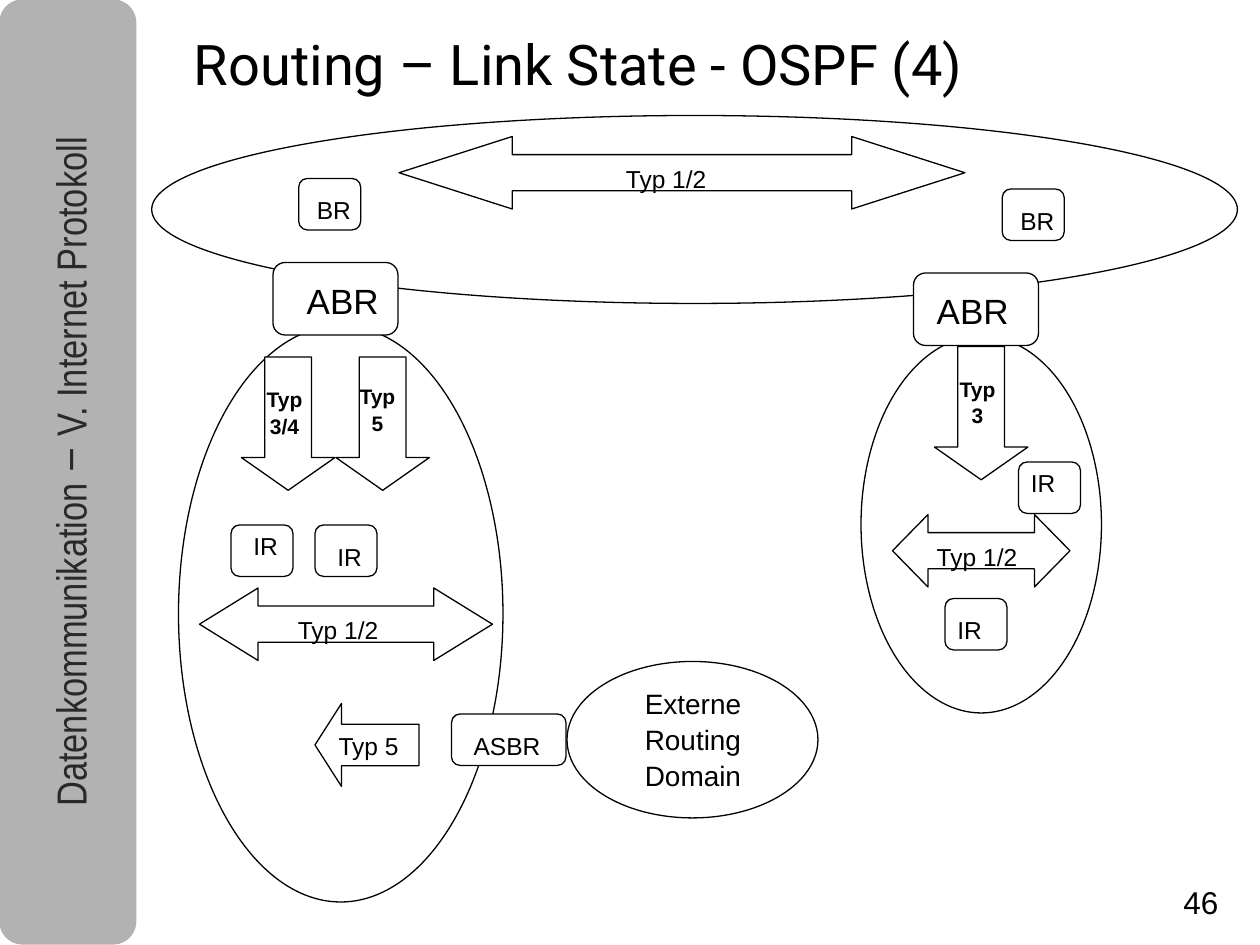
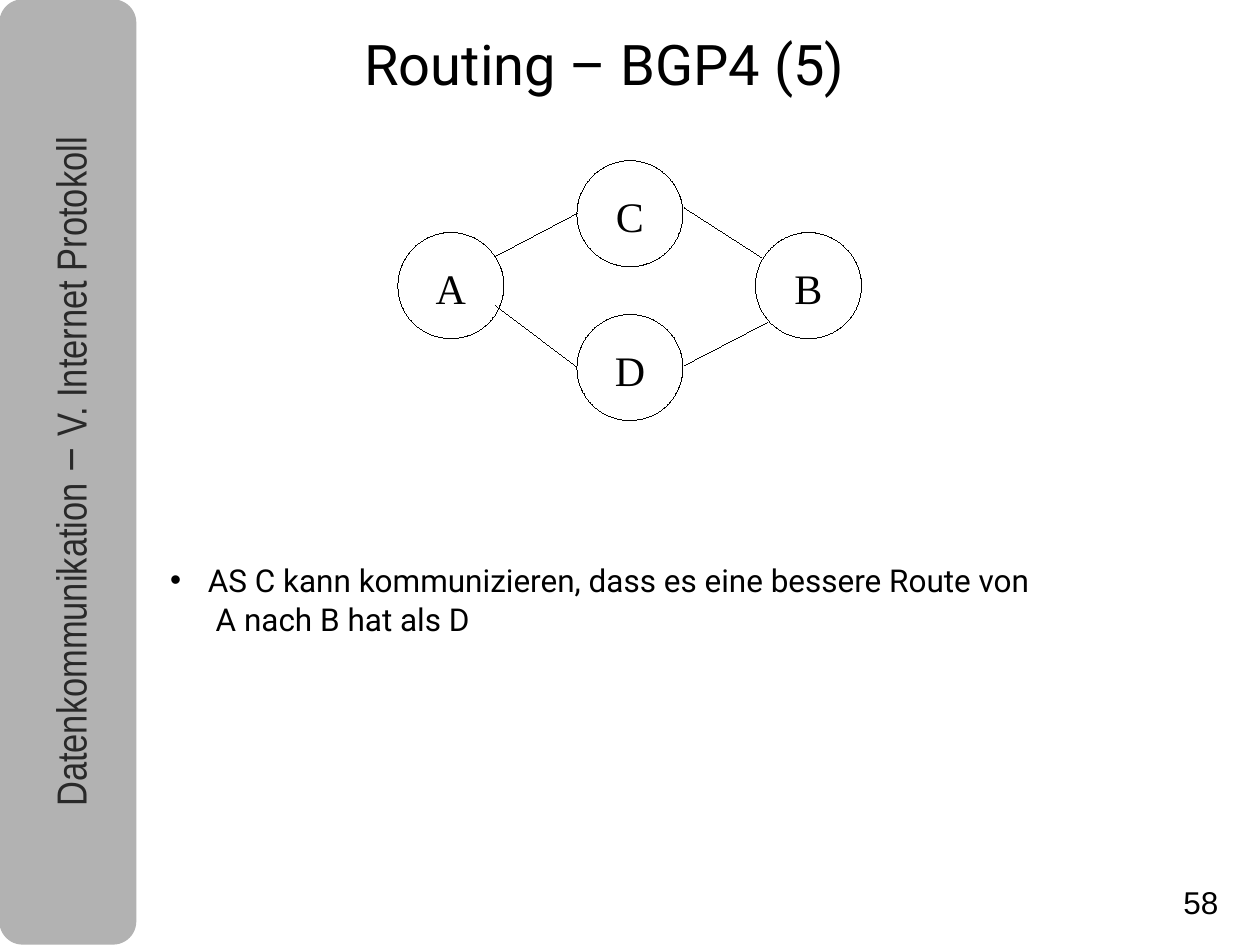
from dataclasses import dataclass

from lxml import etree
from pptx import Presentation
from pptx import util as u
from pptx.dml.color import RGBColor
from pptx.enum import shapes, text
from pptx.oxml import ns

COLUMNS, ROWS = 120, 90
FORM = shapes.MSO_SHAPE


@dataclass(frozen=True)
class Theme:
    ink: str = "000000"
    paper: str = "FFFFFF"
    band: str = "B2B2B2"
    band_ink: str = "292929"
    heading_font: str = "Roboto"
    label_font: str = "Arial"
    band_font: str = "Arial Narrow"
    node_font: str = "Times New Roman"
    title: int = 32
    large: int = 24
    area_router: int = 20
    body: int = 18
    domain: int = 16
    label: int = 14
    small: int = 12
    outline: float = 0.75
    hairline: float = 0.01


class Deck:
    def __init__(self, theme):
        self.theme = theme
        self.show = Presentation()
        self.show.slide_width, self.show.slide_height = u.Inches(10), u.Inches(7.5)
        self.slide = None

    def x(self, columns):
        return round(self.show.slide_width * columns / COLUMNS)

    def y(self, rows):
        return round(self.show.slide_height * rows / ROWS)

    def box(self, x, y, w, h):
        return self.x(x), self.y(y), self.x(w), self.y(h)

    def style(self, font, size, face, color=None, bold=False):
        font.size, font.name, font.bold = u.Pt(size), face, bold
        font.color.rgb = RGBColor.from_string(color or self.theme.ink)

    def place(self, holder, x, y, w, h):
        holder.left, holder.top, holder.width, holder.height = self.box(x, y, w, h)
        holder.text_frame.auto_size = text.MSO_AUTO_SIZE.NONE

    def trim(self, frame):
        frame.margin_left = frame.margin_right = frame.margin_top = frame.margin_bottom = 0

    def new_slide(self, layout, title, title_width, number):
        self.slide = self.show.slides.add_slide(self.show.slide_layouts[layout])
        heading = self.slide.shapes.title
        self.place(heading, 16.7, 2.2, title_width, 7.6)
        heading.text_frame.text = title
        heading.text_frame.word_wrap = False
        self.style(heading.text_frame.paragraphs[0].font, self.theme.title, self.theme.heading_font)
        self.side_band()
        self.page_number(number)

    def side_band(self):
        theme = self.theme
        self.shape(FORM.ROUNDED_RECTANGLE, 0, 0, 12.92, 89.9, theme.band, theme.band)
        chapter = self.slide.shapes.add_textbox(*self.box(-35.6, 39.5, 89.9, 10.9))
        chapter.rotation = 270
        chapter.text_frame.word_wrap = True
        line = chapter.text_frame.paragraphs[0]
        line.alignment, line.line_spacing = text.PP_ALIGN.CENTER, 0.98
        for part, face in (
            ("Datenkommunikation ", theme.band_font),
            ("–", theme.heading_font),
            (" V. Internet Protokoll", theme.band_font),
        ):
            run = line.add_run()
            run.text = part
            self.style(run.font, theme.large, face, theme.band_ink)

    def page_number(self, number):
        frame = self.slide.shapes.add_textbox(*self.box(112.7, 83.9, 5.4, 4.4)).text_frame
        self.trim(frame)
        frame.text = str(number)
        frame.paragraphs[0].line_spacing = 1.05
        self.style(frame.paragraphs[0].font, self.theme.body, self.theme.label_font)

    def shape(self, form, x, y, w, h, fill=None, line=None, ratios=()):
        item = self.slide.shapes.add_shape(form, *self.box(x, y, w, h))
        item.shadow.inherit = False
        item.fill.solid()
        item.fill.fore_color.rgb = RGBColor.from_string(fill or self.theme.paper)
        item.line.color.rgb = RGBColor.from_string(line or self.theme.ink)
        item.line.width = u.Pt(self.theme.outline)
        for index, ratio in enumerate(ratios):
            item.adjustments[index] = ratio
        return item

    def label(self, words, x, y, w, h=4, size=None, bold=False):
        frame = self.slide.shapes.add_textbox(*self.box(x, y, w, h)).text_frame
        self.trim(frame)
        frame.word_wrap = False
        frame.vertical_anchor = text.MSO_ANCHOR.MIDDLE
        frame.text = words
        for index, line in enumerate(frame.paragraphs):
            line.alignment = text.PP_ALIGN.CENTER
            line.line_spacing = 1.07 if index else 1.0
            self.style(line.font, size or self.theme.label, self.theme.label_font, bold=bold)

    def circle(self, name, center_x, center_y, size):
        node = self.shape(FORM.OVAL, center_x - size / 2, center_y - size / 2, size, size)
        node.fill.background()
        node.line.width = u.Pt(self.theme.hairline)
        frame = node.text_frame
        self.trim(frame)
        frame.text = name
        line = frame.paragraphs[0]
        line.alignment, line.line_spacing = text.PP_ALIGN.CENTER, 1.08
        self.style(line.font, self.theme.large, self.theme.node_font)

    def link(self, x1, y1, x2, y2):
        edge = self.slide.shapes.add_connector(
            shapes.MSO_CONNECTOR.STRAIGHT, self.x(x1), self.y(y1), self.x(x2), self.y(y2))
        edge.line.color.rgb = RGBColor.from_string(self.theme.ink)
        edge.line.width = u.Pt(self.theme.hairline)
        etree.SubElement(edge._element.spPr, ns.qn("a:effectLst"))

    def bullet(self, words, x, y, w, h):
        body = self.slide.placeholders[1]
        self.place(body, x, y, w, h)
        body.text_frame.text = words
        line = body.text_frame.paragraphs[0]
        line.line_spacing, line.space_before = 1.03, u.Pt(0)
        self.style(line.font, self.theme.body, self.theme.heading_font)
        hanging = self.x(3.6)
        properties = line._p.get_or_add_pPr()
        properties.set("marL", str(hanging))
        properties.set("indent", str(-hanging))


def ospf_slide(deck):
    theme = deck.theme
    deck.new_slide(5, "Routing – Link State - OSPF (4)", 76.8, 46)

    for area in ((82, 32, 22.9, 35.9), (14.45, 11, 103.4, 17.9), (17, 31, 30.9, 54.9)):
        deck.shape(FORM.OVAL, *area)

    for x, y, label_x in ((26, 25, 28.1), (87, 26, 88.1)):
        deck.shape(FORM.ROUNDED_RECTANGLE, x, y, 11.9, 6.9)
        deck.label("ABR", label_x, y + 1, 9.1, 5.2, theme.area_router)

    for lsa, x, y, label_x, label_y in (
        ("3/4", 23, 34, 24.1, 36.3),
        ("5", 32, 34, 32.95, 36),
        ("3", 89, 33, 90.1, 35.3),
    ):
        deck.shape(FORM.DOWN_ARROW, x, y, 8.9, 12.7, ratios=(0.5, 0.35))
        deck.label(f"Typ\n{lsa}", label_x, label_y, 6, 6, theme.small, True)

    flood_height = 6.9
    for x, y, width, label_x in ((19, 56, 27.9, 27.15), (38, 13, 53.9, 58.4), (85, 49, 16.9, 88)):
        head = 0.2 * width / flood_height
        deck.shape(FORM.LEFT_RIGHT_ARROW, x, y, width, flood_height, ratios=(0.5, head))
        deck.label("Typ 1/2", label_x, y + 2, 10.1)

    deck.shape(FORM.LEFT_ARROW, 30, 67, 9.9, 7.9, ratios=(0.5, 0.32))
    deck.label("Typ 5", 31, 69, 8.2)

    router_widths = {"BR": (5.9, 5.6), "IR": (5.9, 4.7), "ASBR": (10.9, 8.6)}
    for router, x, y, shift_x, shift_y in (
        ("BR", 95.45, 18, 0.55, 1),
        ("BR", 28.45, 17, 0.55, 1),
        ("IR", 30, 50, 0.95, 1),
        ("IR", 22, 50, 0.95, 0),
        ("IR", 90, 57, 0, 1),
        ("IR", 97, 44, 0, 0),
        ("ASBR", 43, 68, 1, 1),
    ):
        width, label_width = router_widths[router]
        deck.shape(FORM.ROUNDED_RECTANGLE, x, y, width, 4.9)
        deck.label(router, x + shift_x, y + shift_y, label_width)

    deck.shape(FORM.OVAL, 54, 63, 23.9, 14.9)
    deck.label("Externe\nRouting\nDomain", 60.2, 63, 11.6, 14.9, theme.domain)


def bgp_slide(deck):
    deck.new_slide(1, "Routing – BGP4 (5)", 81.8, 58)
    deck.bullet("AS C kann kommunizieren, dass es eine bessere Route von\v A nach B hat als D",
                15, 52.7, 94.9, 22.9)
    for system, x, y in (("A", 42.95, 27.2), ("B", 77, 27.2), ("C", 60, 20.35), ("D", 60, 35)):
        deck.circle(system, x, y, 10.1)
    for route in (
        (47.2, 24.4, 55, 20.3),
        (47.2, 29.1, 54.9, 34.9),
        (65.2, 19.8, 72.5, 24.5),
        (65.2, 34.8, 73.1, 30.7),
    ):
        deck.link(*route)


def main():
    deck = Deck(Theme())
    ospf_slide(deck)
    bgp_slide(deck)
    deck.show.save("out.pptx")


if __name__ == "__main__":
    main()
